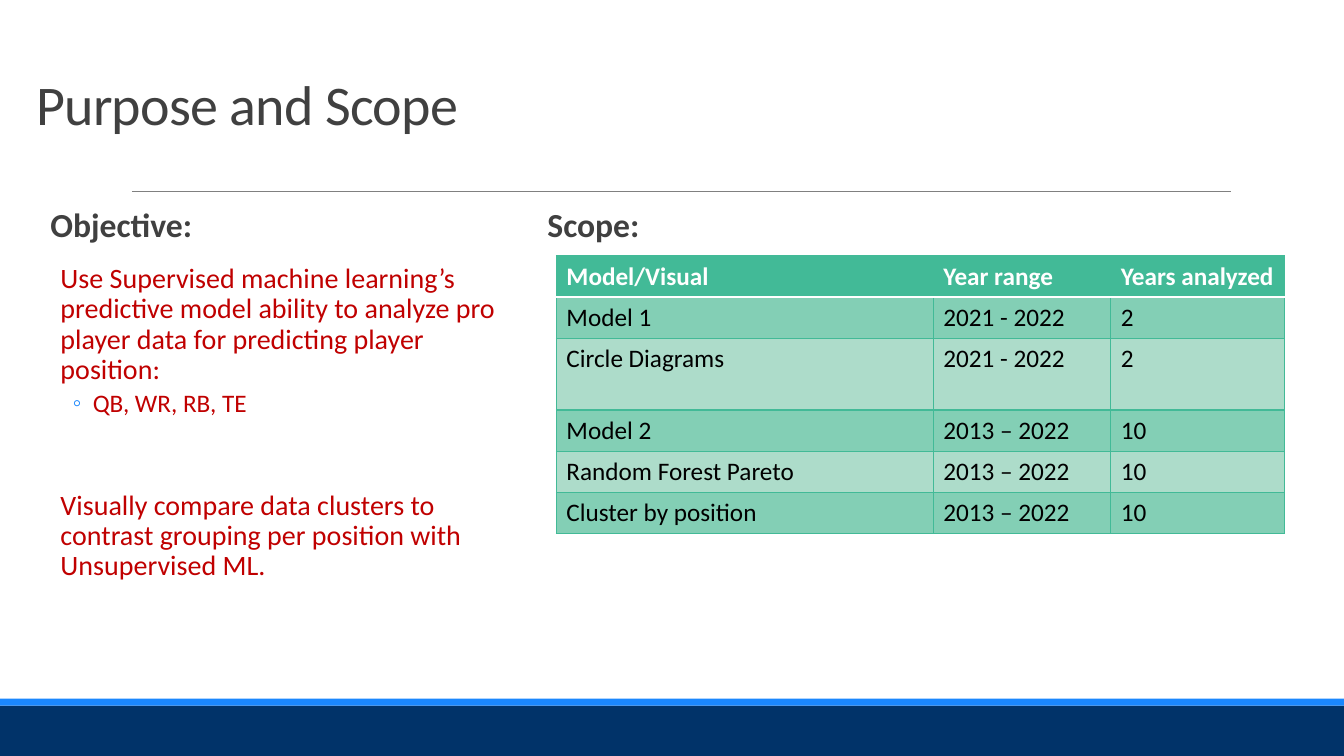
"""Build the Purpose and Scope slide with its objectives and scope table."""
from lxml import etree
from pptx import Presentation
from pptx import util as u
from pptx.dml.color import RGBColor
from pptx.enum import shapes, text
from pptx.oxml.ns import qn

NAVY, BLUE, GREEN, WHITE, BLACK = "013369", "1B87FD", "42BA97", "FFFFFF", "000000"
DARK_BAND, LIGHT_BAND = "83CFB5", "ADDCCA"
GREY, RED, RULE = "404040", "C00000", "808080"


def rgb(color):
    return RGBColor.from_string(color)


class SlideBuilder:
    """Draw styled elements on one slide, measured in percent of its size."""

    font = "Calibri"

    def __init__(self, presentation, layout):
        self.width = presentation.slide_width
        self.height = presentation.slide_height
        self.slide = presentation.slides.add_slide(presentation.slide_layouts[layout])

    def x(self, share):
        return round(self.width * share / 100)

    def y(self, share):
        return round(self.height * share / 100)

    def box(self, left, top, width, height):
        return self.x(left), self.y(top), self.x(width), self.y(height)

    def style(self, paragraph, size, color, bold=False):
        for run in paragraph.runs:
            run.font.name, run.font.size, run.font.bold = self.font, u.Pt(size), bold
            run.font.color.rgb = rgb(color)

    def bar(self, top, height, color):
        shape = self.slide.shapes.add_shape(
            shapes.MSO_SHAPE.RECTANGLE, *self.box(0, top, 100, height))
        shape.shadow.inherit = False
        shape.fill.solid()
        shape.fill.fore_color.rgb = rgb(color)
        shape.line.fill.background()

    def rule(self, left, right, top):
        line = self.slide.shapes.add_connector(
            shapes.MSO_CONNECTOR.STRAIGHT,
            self.x(left), self.y(top), self.x(right), self.y(top))
        line.line.color.rgb, line.line.width = rgb(RULE), u.Pt(0.5)
        etree.SubElement(line._element.spPr, qn("a:effectLst"))

    def placeholder(self, index, box):
        shape = self.slide.placeholders[index]
        shape.left, shape.top, shape.width, shape.height = self.box(*box)
        shape.text_frame.word_wrap = True
        shape.text_frame.auto_size = text.MSO_AUTO_SIZE.NONE
        return shape.text_frame

    def title(self, wording, box):
        frame = self.placeholder(0, box)
        frame.text = wording
        frame.vertical_anchor = text.MSO_ANCHOR.BOTTOM
        paragraph = frame.paragraphs[0]
        paragraph.alignment, paragraph.line_spacing = text.PP_ALIGN.LEFT, 0.85
        self.style(paragraph, 40, GREY)
        paragraph.runs[0].font._element.set("spc", "-50")

    def body(self, index, box, items):
        frame = self.placeholder(index, box)
        frame.margin_left = frame.margin_right = 0
        frame.vertical_anchor = text.MSO_ANCHOR.TOP
        frame.text = "\n".join(item["wording"] for item in items)
        for paragraph, item in zip(frame.paragraphs, items):
            paragraph.level = item.get("level", 0)
            paragraph.line_spacing = 0.9
            paragraph.space_before = u.Pt(item.get("before", 12))
            paragraph.space_after = u.Pt(item.get("after", 2))
            self.style(paragraph, item["size"], item["color"], item.get("bold", False))
            self.bullet(paragraph, item.get("bullet"), item.get("indent", 0))

    def bullet(self, paragraph, mark, indent):
        properties = paragraph._p.get_or_add_pPr()
        properties.set("marL", str(u.Inches(indent)))
        properties.set("indent", str(u.Inches(-0.2 if mark else 0)))
        if mark:
            color = etree.SubElement(properties, qn("a:buClr"))
            etree.SubElement(color, qn("a:srgbClr"), val=BLUE)
            etree.SubElement(properties, qn("a:buChar"), char=mark)
        else:
            etree.SubElement(properties, qn("a:buNone"))

    def border(self, cell, side, color, width):
        line = etree.SubElement(
            cell._tc.get_or_add_tcPr(), qn(f"a:ln{side}"), w=str(u.Pt(width)))
        fill = etree.SubElement(line, qn("a:solidFill"))
        etree.SubElement(fill, qn("a:srgbClr"), val=color)

    def table(self, left, top, widths, heights, rows):
        table = self.slide.shapes.add_table(
            len(rows), len(widths),
            *self.box(left, top, sum(widths), sum(heights))).table
        for column, width in zip(table.columns, widths):
            column.width = self.x(width)
        for number, (row, height, values) in enumerate(zip(table.rows, heights, rows)):
            row.height = self.y(height)
            header = number == 0
            fill = GREEN if header else DARK_BAND if number % 2 else LIGHT_BAND
            white_side = {0: "B", 1: "T"}.get(number)
            for cell, value in zip(row.cells, values):
                cell.text = value
                self.style(cell.text_frame.paragraphs[0], 18,
                           WHITE if header else BLACK, header)
                for side in "LRTB":
                    white = side == white_side
                    self.border(cell, side, WHITE if white else GREEN,
                                1.25 if white else 1)
                cell.fill.solid()
                cell.fill.fore_color.rgb = rgb(fill)


presentation = Presentation()
presentation.slide_width, presentation.slide_height = u.Inches(13.33), u.Inches(7.5)
builder = SlideBuilder(presentation, 3)

builder.bar(93.33, 6.67, NAVY)
builder.bar(92.4, 0.93, BLUE)
builder.rule(9.82, 91.58, 25.33)
builder.title("Purpose and Scope", (1.95, 5.2, 82.5, 13.6))

heading = {"size": 24, "color": GREY, "bold": True}
goal = {"size": 20, "color": RED, "indent": 0.1}
builder.body(1, (3.75, 26.93, 33.9, 58.67), [
    {**heading, "wording": "Objective:"},
    {**goal, "wording": "Use Supervised machine learning’s predictive model ability "
                        "to analyze pro player data for predicting player position:"},
    {"wording": "QB, WR, RB, TE", "size": 18, "color": RED, "level": 1,
     "indent": 0.42, "bullet": "◦", "before": 2, "after": 4},
    {**goal, "before": 48,
     "wording": "Visually compare data clusters to contrast grouping per position "
                "with Unsupervised ML."},
])
builder.body(2, (40.73, 26.93, 50.78, 50.27), [{**heading, "wording": "Scope:"}])

row_height, tall_row = 5.43, 9.52
builder.table(
    41.4, 33.87, [28.05, 13.2, 12.9],
    [row_height] * 2 + [tall_row] + [row_height] * 3,
    [("Model/Visual", "Year range", "Years analyzed"),
     ("Model 1", "2021 - 2022", "2"),
     ("Circle Diagrams", "2021 - 2022", "2"),
     ("Model 2", "2013 – 2022", "10"),
     ("Random Forest Pareto", "2013 – 2022", "10"),
     ("Cluster by position", "2013 – 2022", "10")])

presentation.save("out.pptx")
